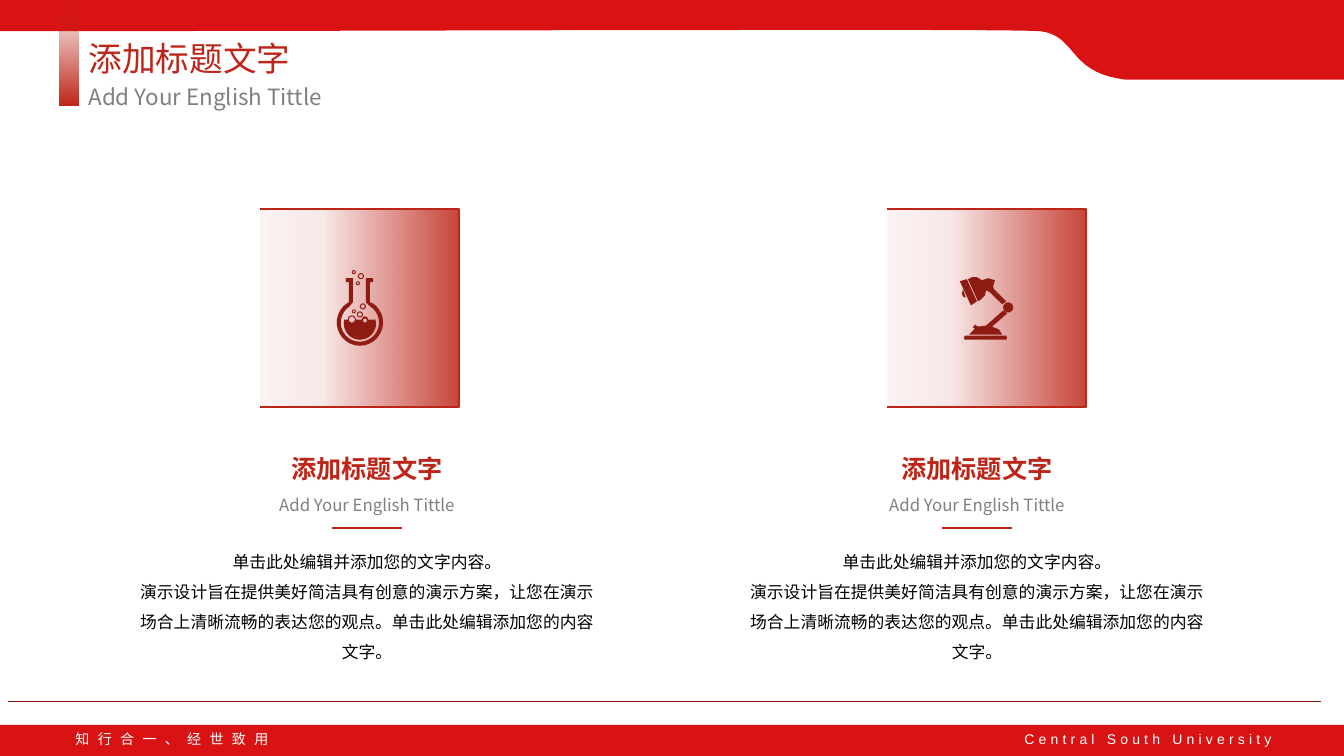
"""Build a two-column red slide with icon panels, headings and body text."""
from math import cos, radians, sin

from lxml import etree
from pptx import Presentation
from pptx.dml.color import RGBColor
from pptx.enum.shapes import MSO_CONNECTOR, MSO_SHAPE
from pptx.enum.text import MSO_ANCHOR, MSO_AUTO_SIZE as AutoSize, PP_ALIGN as Align
from pptx.oxml.ns import qn
from pptx.util import Inches, Pt

RED, DARK_RED, BAND_RED = "BE2519", "8E1C13", "D91313"
GRAY, BLACK, WHITE = "808080", "000000", "FFFFFF"
CJK = "Noto Sans CJK SC"

TITLE = "添加标题文字"
SUBTITLE = "Add Your English Tittle"
BODY = [
    "单击此处编辑并添加您的文字内容。",
    "演示设计旨在提供美好简洁具有创意的演示方案，让您在演示场合上清晰流畅的表达您的观点。"
    "单击此处编辑添加您的内容文字。",
]
MOTTO = "知行合一、经世致用"
SCHOOL = "Central South University"
PANEL_STOPS = [(0, RED, 85), (68, RED, 10), (100, RED, 5)]
BAR_STOPS = [(0, RED, 100), (100, RED, 0)]


def arc(x, y, radius, start, end, steps=24):
    """Return points along a circular arc, in degrees clockwise from the right."""
    angles = [radians(start + (end - start) * i / steps) for i in range(steps + 1)]
    return [(x + radius * cos(a), y + radius * sin(a)) for a in angles]


def circle(x, y, radius):
    """Return the points of a full circle."""
    return arc(x, y, radius, 0, 360)


def curve(*points, steps=16):
    """Return points along a cubic Bezier curve."""
    def blend(t, a, b, c, d):
        return (1 - t)**3 * a + 3 * (1 - t)**2 * t * b + 3 * (1 - t) * t**2 * c + t**3 * d
    return [tuple(blend(i / steps, *axis) for axis in zip(*points)) for i in range(steps + 1)]


BAND = [[(0, 0), (13.33, 0), (13.33, 0.79), (11.16, 0.79)]
        + curve((11.1, 0.78), (10.6, 0.7), (10.67, 0.35), (10.32, 0.31))
        + curve((10.32, 0.31), (9.97, 0.28), (3.44, 0.31), (0, 0.31))]

GLASS = ([(0.29, 0.08), (0.36, 0.08), (0.36, 0.12), (0.33, 0.12), (0.33, 0.32)]
         + arc(0.23, 0.52, 0.23, -58, 238)
         + [(0.12, 0.32), (0.12, 0.12), (0.09, 0.12), (0.09, 0.08), (0.16, 0.08), (0.16, 0.32)]
         + arc(0.23, 0.52, 0.19, 238, -58) + [(0.29, 0.32)])
LIQUID = (arc(0.23, 0.53, 0.16, -14, 194)
          + arc(0.15, 0.49, 0.04, 180, 360) + arc(0.28, 0.49, 0.03, 180, 360))
BUBBLES = [(0.23, 0.44, 0.03, 0.02), (0.26, 0.36, 0.03, 0.02), (0.24, 0.06, 0.03, 0.02),
           (0.17, 0.41, 0.02, 0.01), (0.17, 0.02, 0.02, 0.01), (0.21, 0.13, 0.02, 0.01)]
FLASK = [GLASS, LIQUID, circle(0.15, 0.49, 0.03), circle(0.28, 0.5, 0.02)] + [
    circle(x, y, radius) for x, y, *radii in BUBBLES for radius in radii]

LAMP = [
    [(0.02, 0.18), (0.03, 0.13), (0.06, 0.21), (0.04, 0.21)],
    [(0, 0.05), (0.07, 0.03), (0.17, 0.25), (0.11, 0.29)],
    [(0.08, 0.03), (0.12, 0.01), (0.17, 0.01), (0.22, 0.04), (0.28, 0.02), (0.35, 0.04),
     (0.33, 0.1), (0.34, 0.13), (0.46, 0.25), (0.42, 0.28), (0.3, 0.16), (0.26, 0.14),
     (0.25, 0.19), (0.21, 0.23), (0.18, 0.25)],
    [(0.43, 0.34), (0.26, 0.49), (0.18, 0.5), (0.15, 0.48), (0.13, 0.51), (0.15, 0.52),
     (0.12, 0.55), (0.09, 0.58), (0.42, 0.58), (0.39, 0.53), (0.32, 0.5), (0.47, 0.37)],
    [(0.05, 0.59), (0.46, 0.59), (0.47, 0.61), (0.46, 0.63), (0.05, 0.63), (0.04, 0.61)],
    circle(0.48, 0.31, 0.05),
]

COLUMNS = [
    {"center": 3.64, "panel": 2.58, "icon": FLASK, "icon_at": (3.34, 2.68)},
    {"center": 9.69, "panel": 8.8, "icon": LAMP, "icon_at": (9.52, 2.74)},
]


def color(value):
    """Turn a hex string into a colour."""
    return RGBColor.from_string(value)


def write(shape, lines, size, hex_color, align=Align.LEFT, font=CJK, bold=False,
          line_spacing=None, tracking=0, wrap=True):
    """Fill a shape with evenly formatted paragraphs."""
    frame = shape.text_frame
    frame.text = "\n".join(lines)
    frame.word_wrap = wrap
    frame.auto_size = AutoSize.SHAPE_TO_FIT_TEXT
    frame.vertical_anchor = MSO_ANCHOR.TOP
    for paragraph in frame.paragraphs:
        paragraph.alignment = align
        if line_spacing:
            paragraph.line_spacing = line_spacing
        paragraph.font.size = Pt(size)
        paragraph.font.bold = bold
        paragraph.font.name = font
        paragraph.font.color.rgb = color(hex_color)
        properties = paragraph._p.pPr.find(qn("a:defRPr"))
        etree.SubElement(properties, qn("a:ea"), typeface=font)
        if tracking:
            properties.set("spc", str(tracking * 100))


def add_text(slide, box, lines, *style, **options):
    """Add a text box and write into it."""
    write(slide.shapes.add_textbox(*map(Inches, box)), lines, *style, **options)


def add_block(slide, kind, box):
    """Add a preset shape without shadow or outline."""
    shape = slide.shapes.add_shape(kind, *map(Inches, box))
    shape.shadow.inherit = False
    shape.line.fill.background()
    return shape


def fill_gradient(shape, stops, angle):
    """Give a shape a linear gradient of (position, colour, opacity) stops."""
    shape.fill.gradient()
    shape.fill.gradient_angle = angle
    stop_list = shape.element.spPr.find(qn("a:gradFill")).find(qn("a:gsLst"))
    for stop in list(stop_list):
        stop_list.remove(stop)
    for position, hex_color, opacity in stops:
        stop = etree.SubElement(stop_list, qn("a:gs"), pos=str(position * 1000))
        tint = etree.SubElement(stop, qn("a:srgbClr"), val=hex_color)
        etree.SubElement(tint, qn("a:alpha"), val=str(opacity * 1000))


def add_outline(slide, contours, origin, hex_color):
    """Draw closed contours, given in inches from the origin, as one shape."""
    scaled = [[(round(x * 1000), round(y * 1000)) for x, y in contour] for contour in contours]
    builder = slide.shapes.build_freeform(*scaled[0][0], scale=Inches(1) / 1000)
    builder.add_line_segments(scaled[0][1:])
    for contour in scaled[1:]:
        builder.move_to(*contour[0])
        builder.add_line_segments(contour[1:])
    shape = builder.convert_to_shape(*map(Inches, origin))
    shape.shadow.inherit = False
    shape.fill.solid()
    shape.fill.fore_color.rgb = color(hex_color)
    shape.line.fill.background()


def add_rule(slide, left, right, y, hex_color, width):
    """Add a horizontal line."""
    rule = slide.shapes.add_connector(
        MSO_CONNECTOR.STRAIGHT, *map(Inches, (left, y, right, y)))
    rule.line.color.rgb = color(hex_color)
    rule.line.width = Pt(width)
    etree.SubElement(rule.element.spPr, qn("a:effectLst"))


def add_column(slide, center, panel, icon, icon_at):
    """Add one icon panel with its heading, rule and body text."""
    add_text(slide, (center - 1.65, 4.45, 3.3, 0.4), [TITLE], 18, RED, Align.CENTER, bold=True)
    add_text(slide, (center - 1.65, 4.86, 3.3, 0.3), [SUBTITLE], 12, GRAY, Align.CENTER)
    add_text(slide, (center - 2.36, 5.32, 4.72, 1.28), BODY, 12, BLACK, Align.CENTER,
             line_spacing=1.5)
    add_rule(slide, center - 0.35, center + 0.35, 5.24, RED, 1.5)
    bracket = add_block(slide, MSO_SHAPE.RIGHT_BRACKET, (panel, 2.07, 1.97, 1.97))
    bracket.adjustments[0] = 0
    fill_gradient(bracket, PANEL_STOPS, 180)
    bracket.line.color.rgb = color(RED)
    bracket.line.width = Pt(1.5)
    add_outline(slide, icon, icon_at, DARK_RED)


def main():
    """Assemble and save the slide."""
    presentation = Presentation()
    presentation.slide_width, presentation.slide_height = Inches(13.33), Inches(7.5)
    slide = presentation.slides.add_slide(presentation.slide_layouts[5])

    add_rule(slide, 0.08, 13.1, 6.96, DARK_RED, 0.5)
    for column in COLUMNS:
        add_column(slide, **column)

    add_outline(slide, BAND, (0, 0), BAND_RED)
    footer = add_block(slide, MSO_SHAPE.RECTANGLE, (0, 7.19, 13.33, 0.31))
    footer.fill.solid()
    footer.fill.fore_color.rgb = color(BAND_RED)
    add_text(slide, (0.65, 7.2, 2.22, 0.27), [MOTTO], 10, WHITE, tracking=6, wrap=False)
    add_text(slide, (9.99, 7.2, 2.72, 0.27), [SCHOOL], 10, WHITE, Align.RIGHT, "Arial",
             tracking=3, wrap=False)

    title = slide.shapes.title
    title.left, title.top, title.width, title.height = map(Inches, (0.78, 0.33, 12.1, 0.5))
    write(title, [TITLE], 24, RED)
    bar = add_block(slide, MSO_SHAPE.RECTANGLE, (0.16, 0.43, 1.05, 0.18))
    bar.rotation = 270
    fill_gradient(bar, BAR_STOPS, 0)
    add_text(slide, (0.78, 0.78, 12.1, 0.37), [SUBTITLE], 16, GRAY)
    presentation.save("out.pptx")


if __name__ == "__main__":
    main()
